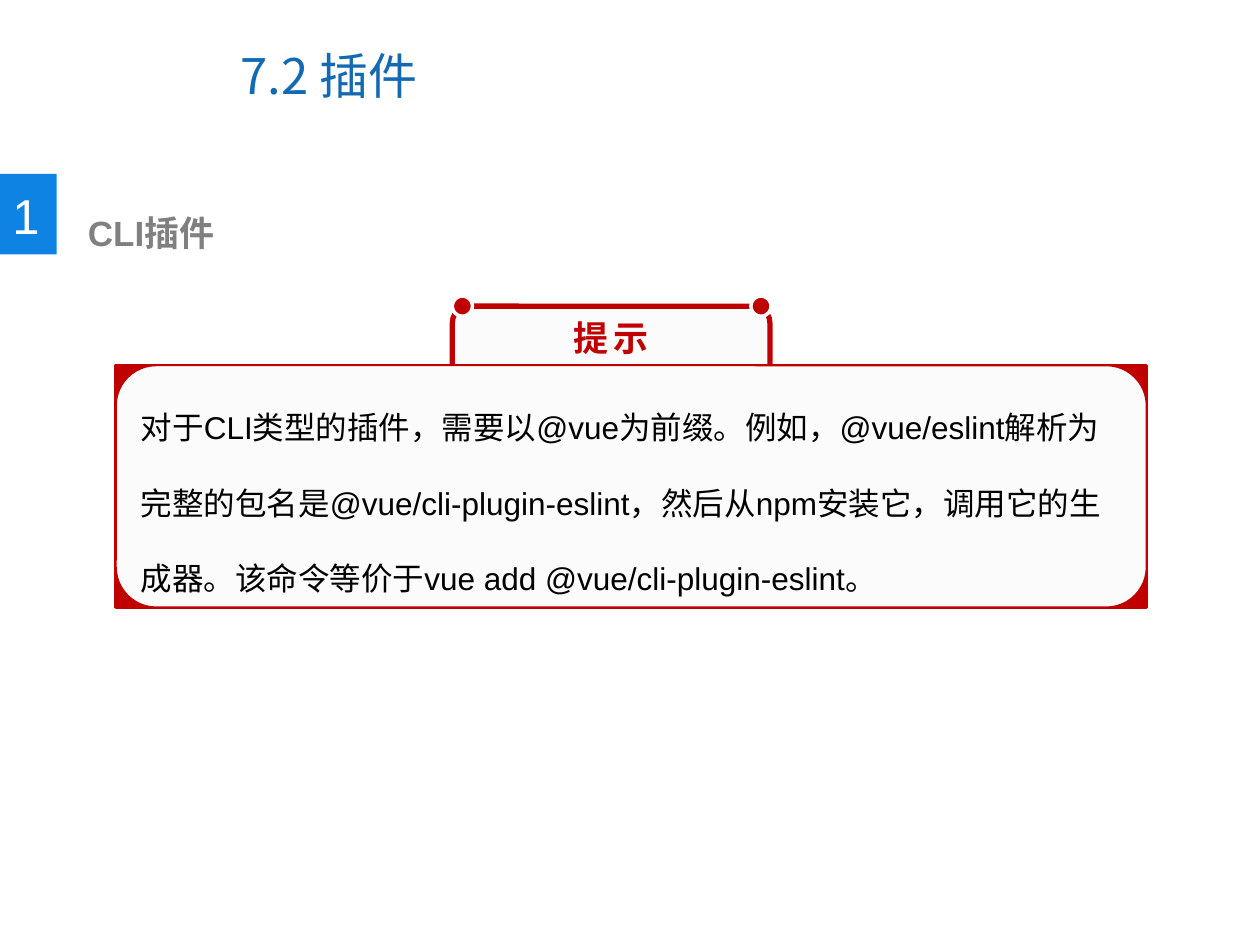
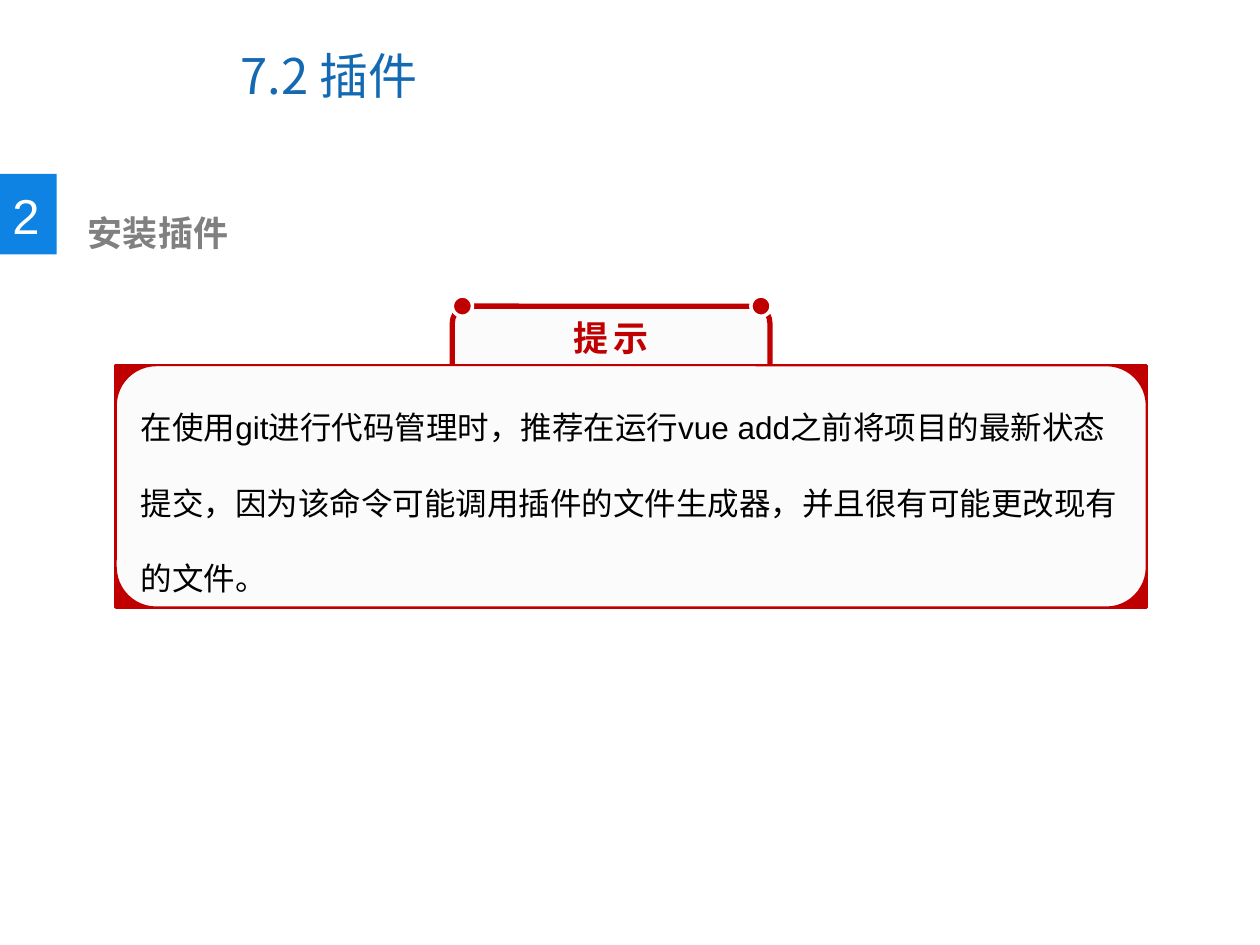
"""Build two slides on plugins, each with a numbered heading and a tip panel."""
from lxml import etree
from pptx import Presentation
from pptx import util as u
from pptx.dml.color import RGBColor
from pptx.enum import shapes, text
from pptx.oxml.ns import qn

color = RGBColor.from_string
BLUE, TITLE_BLUE, RED = "0F83E3", "1369B2", "C00000"
PALE, GREY, WHITE, BLACK = "FBFBFB", "808080", "FFFFFF", "000000"
CJK_FONT, LATIN_FONT = "Noto Sans CJK SC", "Arial"
PANEL = (0.92, 2.9, 8.18, 1.92)
KIND = shapes.MSO_SHAPE

TIPS = [
    ("CLI插件",
     "对于CLI类型的插件，需要以@vue为前缀。例如，@vue/eslint解析为完整的包名是"
     "@vue/cli-plugin-eslint，然后从npm安装它，调用它的生成器。"
     "该命令等价于vue add @vue/cli-plugin-eslint。"),
    ("安装插件",
     "在使用git进行代码管理时，推荐在运行vue add之前将项目的最新状态提交，"
     "因为该命令可能调用插件的文件生成器，并且很有可能更改现有的文件。"),
]


def add_shape(slide, kind, box, fill, line=None, width=0):
    shape = slide.shapes.add_shape(kind, *map(u.Inches, box))
    shape.shadow.inherit = False
    shape.fill.solid()
    shape.fill.fore_color.rgb = color(fill)
    if line:
        shape.line.color.rgb = color(line)
        shape.line.width = u.Pt(width)
    else:
        shape.line.fill.background()


def write(shape, box, content, size, ink, font=LATIN_FONT, bold=False, wrap=True):
    shape.left, shape.top, shape.width, shape.height = map(u.Inches, box)
    shape.text_frame.word_wrap = wrap
    paragraph = shape.text_frame.paragraphs[0]
    paragraph.alignment = text.PP_ALIGN.LEFT
    run = paragraph.add_run()
    run.text = content
    run.font.size = u.Pt(size)
    run.font.bold = bold
    run.font.name = font
    run.font.color.rgb = color(ink)
    properties = run.font._element
    east_asian = etree.Element(qn("a:ea"), typeface=CJK_FONT)
    properties.find(qn("a:latin")).addnext(east_asian)
    return paragraph


presentation = Presentation()
presentation.slide_width, presentation.slide_height = u.Inches(10), u.Inches(7.5)
title_only = presentation.slide_layouts[5]

for number, (heading, tip) in enumerate(TIPS, 1):
    slide = presentation.slides.add_slide(title_only)
    title = slide.shapes.title
    write(title, (1.81, 0.17, 5.16, 0.85), "7.2 插件", 28, TITLE_BLUE, CJK_FONT)
    title.text_frame.vertical_anchor = text.MSO_ANCHOR.MIDDLE

    add_shape(slide, KIND.RECTANGLE, (0, 1.38, 0.45, 0.64), BLUE)
    number_box = slide.shapes.add_textbox(0, 0, 0, 0)
    write(number_box, (0, 1.42, 0.42, 0.57), str(number), 28, WHITE, wrap=False)
    heading_box = slide.shapes.add_textbox(0, 0, 0, 0)
    write(heading_box, (0.6, 1.63, 5, 0.44), heading, 20, GREY, bold=True)

    add_shape(slide, KIND.ROUNDED_RECTANGLE, (3.59, 2.43, 2.52, 0.79), PALE, RED, 3)
    add_shape(slide, KIND.FLOWCHART_PROCESS, PANEL, RED, RED, 2)
    add_shape(slide, KIND.FLOWCHART_ALTERNATE_PROCESS, PANEL, PALE, RED, 1)
    for left in (3.59, 5.96):
        add_shape(slide, KIND.OVAL, (left, 2.35, 0.16, 0.16), RED, WHITE, 2)

    label_box = slide.shapes.add_textbox(0, 0, 0, 0)
    label = write(label_box, (4.1, 2.46, 1.5, 0.44), "提示", 20, RED, CJK_FONT, bold=True)
    label.alignment = text.PP_ALIGN.CENTER
    label.runs[0].font._element.set("spc", "300")

    tip_box = slide.shapes.add_textbox(0, 0, 0, 0)
    write(tip_box, (1.02, 2.89, 8.04, 1.92), tip, 18, BLACK).line_spacing = 2.0

presentation.save("out.pptx")
